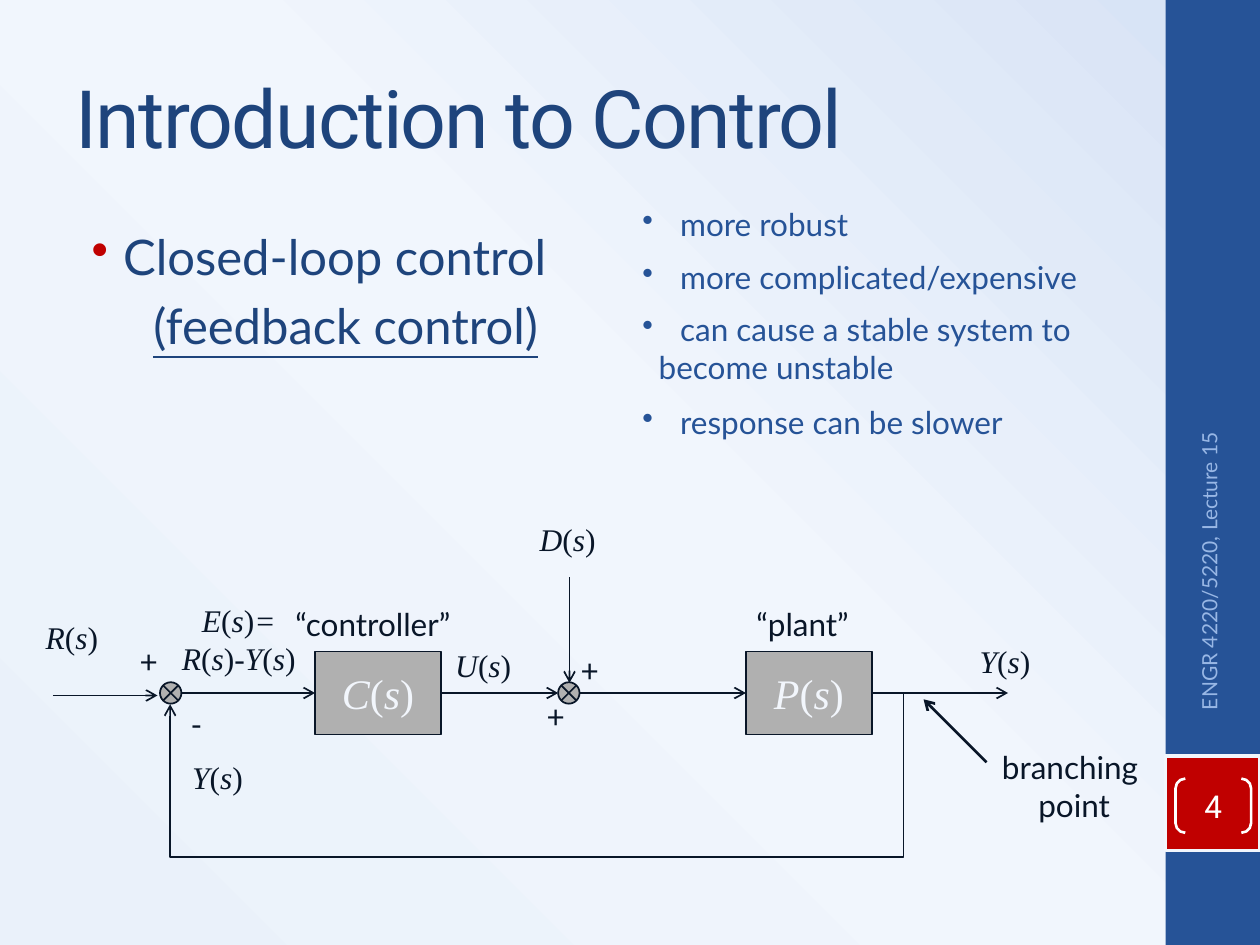
from itertools import groupby

from lxml import etree
from pptx import Presentation
from pptx.dml.color import RGBColor
from pptx.enum.shapes import MSO_CONNECTOR, MSO_SHAPE
from pptx.enum.text import MSO_ANCHOR, MSO_AUTO_SIZE, PP_ALIGN
from pptx.oxml import parse_xml
from pptx.oxml.ns import nsdecls, qn
from pptx.util import Inches, Pt

rgb = RGBColor.from_string
INK, BLUE, NAVY, RED, GRAY, PALE = "091628", "265397", "1E447C", "C00000", "B0B0B0", "F2F6FC"
SERIF, SANS = "Times New Roman", "Lato"


def write(frame, lines, size, color, font=SANS, align=PP_ALIGN.CENTER):
    """Write one paragraph per line; letters of serif formulas are italic."""
    for i, line in enumerate(lines):
        paragraph = frame.paragraphs[0] if i == 0 else frame.add_paragraph()
        paragraph.alignment = align
        if font == SERIF:
            for italic, chars in groupby(line, lambda c: c.isalpha() or c == "="):
                run = paragraph.add_run()
                run.text = "".join(chars)
                run.font.italic = italic
        else:
            paragraph.text = line
        for run in paragraph.runs:
            run.font.name, run.font.size = font, Pt(size)
            run.font.color.rgb = rgb(color)


def make_arrow(line_shape, width=1):
    line_shape.line.color.rgb = rgb(INK)
    line_shape.line.width = Pt(width)
    properties = line_shape._element.spPr
    etree.SubElement(properties.find(qn("a:ln")), qn("a:tailEnd"), type="arrow")
    etree.SubElement(properties, qn("a:effectLst"))


prs = Presentation()
prs.slide_width, prs.slide_height = Inches(10), Inches(7.5)
slide = prs.slides.add_slide(prs.slide_layouts[5])
shapes = slide.shapes

# Background gradient
slide.background.fill.solid()
background = slide._element.cSld.bg.bgPr
stops = "".join(
    f'<a:gs pos="{pos * 1000}"><a:srgbClr val="{color}"/></a:gs>'
    for pos, color in [(0, "EAF1FA"), (52, "F1F6FD"), (100, "D6E2F5")])
background.replace(background[0], parse_xml(
    f'<a:gradFill {nsdecls("a")} rotWithShape="1"><a:gsLst>{stops}</a:gsLst>'
    '<a:path path="circle"><a:fillToRect t="100000" r="100000"/></a:path></a:gradFill>'))

# Sidebar with page number and course name
sidebar = shapes.add_shape(MSO_SHAPE.RECTANGLE, Inches(9.25), 0, Inches(0.75), Inches(7.5))
sidebar.fill.solid()
sidebar.fill.fore_color.rgb = rgb(BLUE)
sidebar.line.fill.background()
sidebar.shadow.inherit = False

page_tile = shapes.add_shape(
    MSO_SHAPE.RECTANGLE, Inches(9.25), Inches(6), Inches(0.75), Inches(0.75))
page_tile.fill.solid()
page_tile.fill.fore_color.rgb = rgb(RED)
page_tile.line.color.rgb = rgb(PALE)
page_tile.line.width = Pt(2)
page_tile.shadow.inherit = False

page_number = shapes.add_shape(
    MSO_SHAPE.DOUBLE_BRACKET, Inches(9.33), Inches(6.18), Inches(0.6), Inches(0.43))
page_number.adjustments[0] = 0.18
page_number.fill.background()
page_number.line.color.rgb = rgb("FFFFFF")
page_number.line.width = Pt(1.5)
page_number.shadow.inherit = False
number_frame = page_number.text_frame
number_frame.margin_left = number_frame.margin_right = 0
number_frame.margin_top = number_frame.margin_bottom = 0
number_frame.vertical_anchor = MSO_ANCHOR.MIDDLE
write(number_frame, ["4"], 18, "FFFFFF", "Roboto")

course = shapes.add_textbox(Inches(8.3), Inches(4.43), Inches(2.59), Inches(0.4))
course.rotation = 270
course.text_frame.word_wrap = True
course.text_frame.vertical_anchor = MSO_ANCHOR.MIDDLE
write(course.text_frame, ["ENGR 4220/5220, Lecture 15"], 12, "98B7E5", align=PP_ALIGN.RIGHT)

# Title
title = shapes.title
title.left, title.top = Inches(0.5), Inches(0.3)
title.width, title.height = Inches(8.33), Inches(1.25)
title.text_frame.vertical_anchor = MSO_ANCHOR.MIDDLE
write(title.text_frame, ["Introduction to Control"], 46, NAVY, "Roboto", PP_ALIGN.LEFT)
title.text_frame.paragraphs[0].runs[0].font._element.set("spc", "-100")

# Topic and remarks: left margin, first-line indent, space before, bullet colour
topic = shapes.add_textbox(Inches(0.5), Inches(1.75), Inches(4.4), Inches(1.3))
remarks = shapes.add_textbox(Inches(5), Inches(1.58), Inches(4.2), Inches(2.02))
write(topic.text_frame, ["Closed-loop control", "(feedback control)\t"], 28, NAVY,
      align=PP_ALIGN.LEFT)
write(remarks.text_frame, ["more robust", "more complicated/expensive",
                           "can cause a stable system to", "become unstable",
                           "response can be slower"], 18, BLUE, align=PP_ALIGN.LEFT)
topic_layout = [(0.38, -0.25, 0, RED), (0, 0.62, 5.6, None)]
remark_layout = [(0.3, -0.3, 0, BLUE), (0.3, -0.3, 8.4, BLUE), (0.3, -0.3, 8.4, BLUE),
                 (0.13, 0, 0, None), (0.3, -0.3, 10, BLUE)]
for box, layout in [(topic, topic_layout), (remarks, remark_layout)]:
    box.text_frame.word_wrap = True
    for paragraph, (margin, indent, before, bullet) in zip(box.text_frame.paragraphs, layout):
        paragraph.space_before = Pt(before)
        properties = paragraph._p.get_or_add_pPr()
        properties.set("marL", str(Inches(margin)))
        properties.set("indent", str(Inches(indent)))
        if bullet:
            bullet_color = etree.SubElement(properties, qn("a:buClr"))
            etree.SubElement(bullet_color, qn("a:srgbClr"), val=bullet)
            etree.SubElement(properties, qn("a:buChar"), char="•")

# The underline runs on to a tab stop
feedback = topic.text_frame.paragraphs[1]
tabs = etree.SubElement(feedback._p.get_or_add_pPr(), qn("a:tabLst"))
etree.SubElement(tabs, qn("a:tab"), pos=str(Inches(4.17)), algn="l")
for run in feedback.runs:
    run.font.underline = True

# Controller and plant blocks
AXIS = 5.5
blocks = []
for left, formula in [(2.5, "C(s)"), (5.92, "P(s)")]:
    block = shapes.add_shape(
        MSO_SHAPE.RECTANGLE, Inches(left), Inches(AXIS - 0.33), Inches(1), Inches(0.66))
    block.text_frame.vertical_anchor = MSO_ANCHOR.MIDDLE
    write(block.text_frame, [formula], 24, PALE, SERIF)
    blocks.append(block)
controller, plant = blocks

# Summing junctions
JUNCTION = 0.17
junctions = [
    shapes.add_shape(MSO_SHAPE.FLOWCHART_SUMMING_JUNCTION, Inches(left),
                     Inches(AXIS - JUNCTION / 2), Inches(JUNCTION), Inches(JUNCTION))
    for left in (1.27, 4.43)]
for part in blocks + junctions:
    part.fill.solid()
    part.fill.fore_color.rgb = rgb(GRAY)
    part.line.color.rgb = rgb(INK)
    part.line.width = Pt(1)
    part.shadow.inherit = False

# Signal arrows: ends, width, blocks joined at start and end
signals = [
    (0.42, 5.52, 1.25, 5.52, 1, None, None),
    (1.44, AXIS, 2.5, AXIS, 1, None, controller),
    (3.5, AXIS, 4.43, AXIS, 1, controller, None),
    (4.6, AXIS, 5.92, AXIS, 1, None, plant),
    (6.92, AXIS, 8, AXIS, 1, plant, None),
    (4.52, 4.58, 4.52, 5.42, 1, None, None),
    (7.83, 6.05, 7.33, 5.55, 1.5, None, None),
]
for x1, y1, x2, y2, width, source, target in signals:
    signal = shapes.add_connector(
        MSO_CONNECTOR.STRAIGHT, Inches(x1), Inches(y1), Inches(x2), Inches(y2))
    if source:
        signal.begin_connect(source, 3)
    if target:
        signal.end_connect(target, 1)
    make_arrow(signal, width)

# Feedback path
route = [(6.92, AXIS), (7.17, AXIS), (7.17, 6.8), (1.35, 6.8), (1.35, 5.59)]
points = [(Inches(x), Inches(y)) for x, y in route]
builder = shapes.build_freeform(*points[0])
builder.add_line_segments(points[1:], close=False)
feedback_path = builder.convert_to_shape()
feedback_path.fill.background()
make_arrow(feedback_path)

# Diagram labels
labels = [
    (0.26, 4.86, 0.62, SERIF, ["R(s)"]),
    (1.34, 4.72, 1.11, SERIF, ["E(s)=", "R(s)-Y(s)"]),
    (3.51, 5.08, 0.65, SERIF, ["U(s)"]),
    (4.18, 4.08, 0.65, SERIF, ["D(s)"]),
    (7.67, 5.05, 0.61, SERIF, ["Y(s)"]),
    (1.42, 5.97, 0.61, SERIF, ["Y(s)"]),
    (2.23, 4.75, 1.46, SANS, ["“controller”"]),
    (5.89, 4.75, 0.96, SANS, ["“plant”"]),
    (7.83, 5.89, 1.39, SANS, ["branching ", "point"]),
    (0.99, 5.05, 0.38, SANS, ["+"]),
    (1.41, 5.55, 0.3, SANS, ["-"]),
    (4.49, 5.12, 0.38, SANS, ["+"]),
    (4.22, 5.48, 0.38, SANS, ["+"]),
]
for left, top, width, font, lines in labels:
    label = shapes.add_textbox(
        Inches(left), Inches(top), Inches(width), Inches(0.1 + 0.3 * len(lines)))
    label.text_frame.word_wrap = False
    label.text_frame.auto_size = MSO_AUTO_SIZE.SHAPE_TO_FIT_TEXT
    write(label.text_frame, lines, 18, INK, font)

prs.save("out.pptx")
